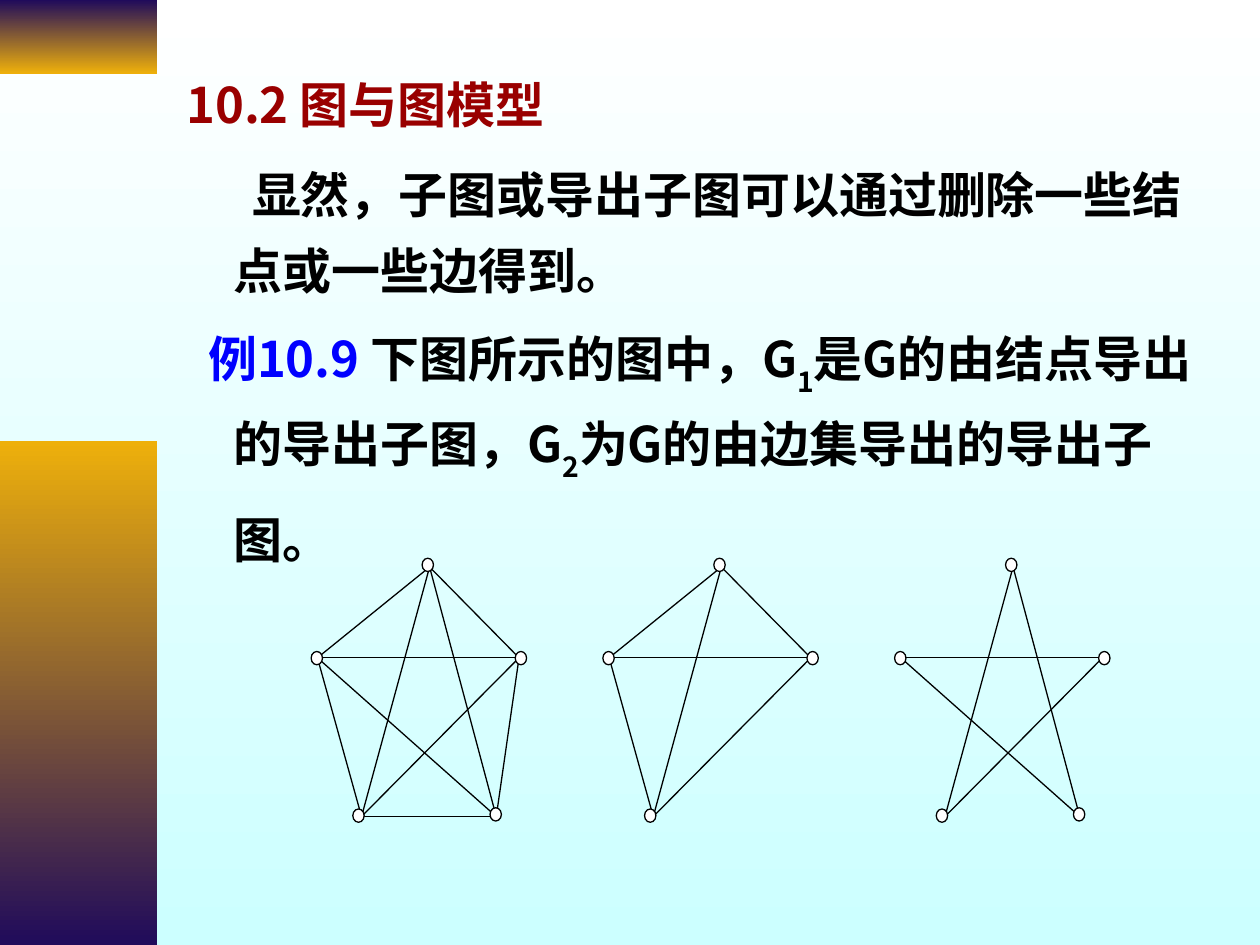
from lxml import etree
from pptx import Presentation
from pptx.dml.color import RGBColor
from pptx.enum.shapes import MSO_CONNECTOR, MSO_SHAPE
from pptx.enum.text import MSO_ANCHOR, PP_ALIGN
from pptx.oxml.ns import qn
from pptx.util import Pt

STRAIGHT = MSO_CONNECTOR.STRAIGHT
RECTANGLE = MSO_SHAPE.RECTANGLE
OVAL = MSO_SHAPE.OVAL
TOP = MSO_ANCHOR.TOP
LEFT = PP_ALIGN.LEFT

FONT = "Noto Sans CJK SC"
BLACK, WHITE, RED, BLUE = "000000", "FFFFFF", "990000", "0000FF"
NAVY, GOLD, CYAN = "200B5B", "EEB00B", "CCFFFF"

# Positions relative to the top left corner of a graph
EDGE_ENDS = {"top": (67.7, 5), "right": (118.8, 56.9), "lower right": (105.8, 147.6),
             "lower left": (28.8, 147.6), "left": (3.6, 56.9)}
NODE_CORNERS = {"top": (63.4, 0), "right": (116.6, 53.3), "lower right": (102.2, 142.6),
                "lower left": (23.8, 143.3), "left": (0, 53.3)}
NODE_WIDTH, NODE_HEIGHT = 6.5, 7.6
GRAPH_LEFT, GRAPH_TOP, GRAPH_PITCH = 177.8, 319, 166.7

RIM = [("top", "right"), ("right", "lower right"), ("lower right", "lower left"),
       ("lower left", "left"), ("left", "top")]
STAR = [("top", "lower left"), ("left", "right"), ("top", "lower right"),
        ("left", "lower right"), ("lower left", "right")]
INDUCED_NODES = {"top", "right", "lower left", "left"}
GRAPHS = [RIM + STAR,
          [edge for edge in RIM + STAR if set(edge) <= INDUCED_NODES],
          STAR]


def color(value):
    return RGBColor.from_string(value)


def fill_downward(fill, first, last):
    """Gradient from first at the top to last at the bottom."""
    fill.gradient()
    fill.gradient_angle = 270
    for stop, value in zip(fill.gradient_stops, (first, last)):
        stop.color.rgb = color(value)


def add_side_bar(slide, top, height, first, last):
    bar = slide.shapes.add_shape(RECTANGLE, Pt(0), Pt(top), Pt(90), Pt(height))
    bar.shadow.inherit = False
    bar.line.fill.background()
    fill_downward(bar.fill, first, last)


def add_paragraph(paragraph, runs, line_height, space_before, margin, indent):
    """Each run is (text, colour, is_subscript)."""
    paragraph.alignment = LEFT
    paragraph.line_spacing = Pt(line_height)
    paragraph.space_before = Pt(space_before)
    properties = paragraph._p.get_or_add_pPr()
    properties.set("marL", str(Pt(margin)))
    properties.set("indent", str(Pt(indent)))
    for text, value, is_subscript in runs:
        run = paragraph.add_run()
        run.text = text
        run.font.size = Pt(28)
        run.font.bold = True
        run.font.name = FONT
        run.font.color.rgb = color(value)
        run_properties = run.font._element
        etree.SubElement(run_properties, qn("a:ea")).set("typeface", FONT)
        if is_subscript:
            run_properties.set("baseline", "-30000")


def add_body(slide, left, top, width, height):
    box = slide.shapes.add_textbox(Pt(left), Pt(top), Pt(width), Pt(height))
    frame = box.text_frame
    frame.word_wrap = True
    frame.vertical_anchor = TOP
    add_paragraph(frame.paragraphs[0], [("10.2 图与图模型", RED, False)],
                  46.5, 0, 27, -27)
    add_paragraph(frame.add_paragraph(),
                  [("显然，子图或导出子图可以通过删除一些结点或一些边得到。", BLACK, False)],
                  43.5, 8, 27, 10.5)
    example = [("例10.9 ", BLUE, False),
               ("下图所示的图中，G", BLACK, False), ("1", BLACK, True),
               ("是G的由结点导出的导出子图，G", BLACK, False), ("2", BLACK, True),
               ("为G的由边集导出的导出子图。", BLACK, False)]
    add_paragraph(frame.add_paragraph(), example, 48.5, 8, 27, -14.5)


def add_graph(slide, left, top, edges):
    for start, end in edges:
        (start_x, start_y), (end_x, end_y) = EDGE_ENDS[start], EDGE_ENDS[end]
        line = slide.shapes.add_connector(
            STRAIGHT, Pt(left + start_x), Pt(top + start_y),
            Pt(left + end_x), Pt(top + end_y))
        line.line.color.rgb = color(BLACK)
        line.line.width = Pt(0.75)
        etree.SubElement(line._element.spPr, qn("a:effectLst"))
    used = {name for edge in edges for name in edge}
    for name, (x, y) in NODE_CORNERS.items():
        if name in used:
            node = slide.shapes.add_shape(OVAL, Pt(left + x), Pt(top + y),
                                          Pt(NODE_WIDTH), Pt(NODE_HEIGHT))
            node.shadow.inherit = False
            node.fill.solid()
            node.fill.fore_color.rgb = color(WHITE)
            node.line.color.rgb = color(BLACK)
            node.line.width = Pt(0.75)


def main():
    presentation = Presentation()
    presentation.slide_width, presentation.slide_height = Pt(720), Pt(540)
    slide = presentation.slides.add_slide(presentation.slide_layouts[6])
    fill_downward(slide.background.fill, WHITE, CYAN)
    add_side_bar(slide, 0, 42, NAVY, GOLD)
    add_side_bar(slide, 252, 288, GOLD, NAVY)
    add_body(slide, 99.4, 26, 589.7, 493)
    for index, edges in enumerate(GRAPHS):
        add_graph(slide, GRAPH_LEFT + index * GRAPH_PITCH, GRAPH_TOP, edges)
    presentation.save("out.pptx")


if __name__ == "__main__":
    main()
